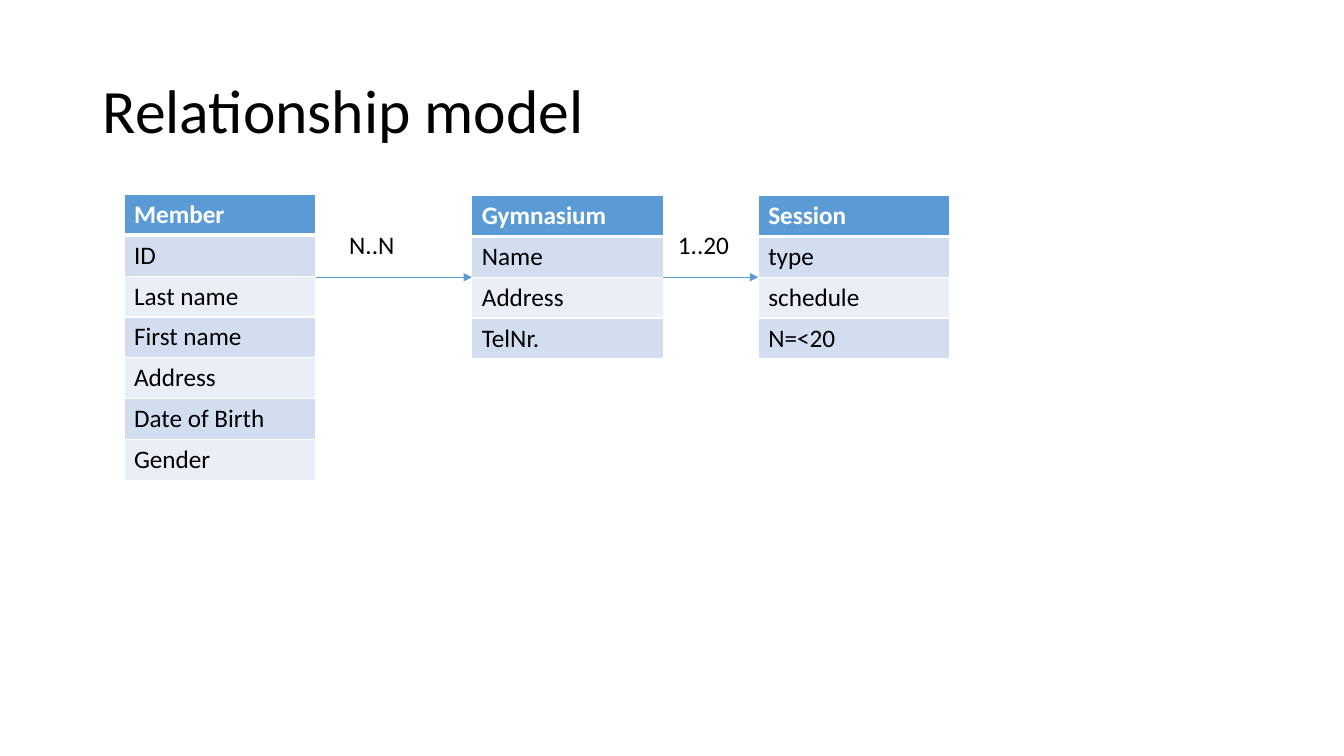
from lxml import etree
from pptx import Presentation
from pptx.dml.color import RGBColor
from pptx.enum.shapes import MSO_CONNECTOR
from pptx.enum.text import MSO_ANCHOR
from pptx.oxml.ns import qn
from pptx.util import Inches, Pt

STRAIGHT = MSO_CONNECTOR.STRAIGHT
MIDDLE, TOP = MSO_ANCHOR.MIDDLE, MSO_ANCHOR.TOP

# Content
TITLE = "Relationship model"
# name: (left, top, fields), in inches
ENTITIES = {
    "Gymnasium": (4.68, 1.94, ["Name", "Address", "TelNr."]),
    "Session": (7.52, 1.94, ["type", "schedule", "N=<20"]),
    "Member": (1.23, 1.93, ["ID", "Last name", "First name", "Address",
                            "Date of Birth", "Gender"]),
}
# source, target, cardinality, label width
RELATIONS = [
    ("Member", "Gymnasium", "N..N", 1.08),
    ("Gymnasium", "Session", "1..20", 0.85),
]

# Look
FONT = "Calibri"
BLACK = RGBColor(0x00, 0x00, 0x00)
WHITE = RGBColor(0xFF, 0xFF, 0xFF)
BLUE = RGBColor(0x5B, 0x9B, 0xD5)
BANDS = [RGBColor(0xD2, 0xDE, 0xEF), RGBColor(0xEA, 0xEF, 0xF7)]

# Grid
SLIDE_W, SLIDE_H = 13.33, 7.5
COLUMN = 1.9
ROW = SLIDE_H * 0.054
LABEL_TOP, LABEL_H = 2.23, 0.4


def write(frame, text, size=18, color=BLACK, bold=False, anchor=TOP, spacing=None):
    frame.word_wrap = True
    frame.vertical_anchor = anchor
    paragraph = frame.paragraphs[0]
    paragraph.line_spacing = spacing
    run = paragraph.add_run()
    run.text = text
    run.font.name, run.font.size, run.font.bold = FONT, Pt(size), bold
    run.font.color.rgb = color


def add_text(slide, box, text, **style):
    frame = slide.shapes.add_textbox(*map(Inches, box)).text_frame
    write(frame, text, **style)


def add_borders(cell, bottom=1, top=1):
    properties = cell._tc.get_or_add_tcPr()
    widths = {"lnL": 1, "lnR": 1, "lnT": top, "lnB": bottom}
    for position, (side, width) in enumerate(widths.items()):
        border = etree.Element(qn(f"a:{side}"), w=str(Pt(width)))
        fill = etree.SubElement(border, qn("a:solidFill"))
        etree.SubElement(fill, qn("a:srgbClr"), val=str(WHITE))
        properties.insert(position, border)


def add_entity(slide, name, left, top, fields):
    rows = [name, *fields]
    box = (left, top, COLUMN, ROW * len(rows))
    table = slide.shapes.add_table(len(rows), 1, *map(Inches, box)).table
    for index, text in enumerate(rows):
        table.rows[index].height = Inches(ROW)
        cell = table.cell(index, 0)
        header = index == 0
        cell.fill.solid()
        cell.fill.fore_color.rgb = BLUE if header else BANDS[(index - 1) % 2]
        write(cell.text_frame, text, color=WHITE if header else BLACK, bold=header)
        add_borders(cell, bottom=3 if header else 1, top=3 if index == 1 else 1)


def add_arrow(slide, start, end, y):
    arrow = slide.shapes.add_connector(STRAIGHT, *map(Inches, (start, y, end, y)))
    arrow.line.color.rgb = BLUE
    arrow.line.width = Pt(0.5)
    etree.SubElement(arrow.line._get_or_add_ln(), qn("a:tailEnd"), type="triangle")
    etree.SubElement(arrow._element.spPr, qn("a:effectLst"))


def main():
    deck = Presentation()
    deck.slide_width, deck.slide_height = Inches(SLIDE_W), Inches(SLIDE_H)
    slide = deck.slides.add_slide(deck.slide_layouts[6])

    # Title
    add_text(slide, (0.92, 0.4, 11.5, 1.45), TITLE, size=44, anchor=MIDDLE, spacing=0.9)

    # Entity tables
    for name, (left, top, fields) in ENTITIES.items():
        add_entity(slide, name, left, top, fields)

    # Relations: arrow two rows down, label centred over the gap
    for source, target, cardinality, width in RELATIONS:
        start = ENTITIES[source][0] + COLUMN
        end, top, _ = ENTITIES[target]
        add_arrow(slide, start, end, top + 2 * ROW)
        label_left = (start + end - width) / 2
        add_text(slide, (label_left, LABEL_TOP, width, LABEL_H), cardinality)

    deck.save("out.pptx")


if __name__ == "__main__":
    main()
